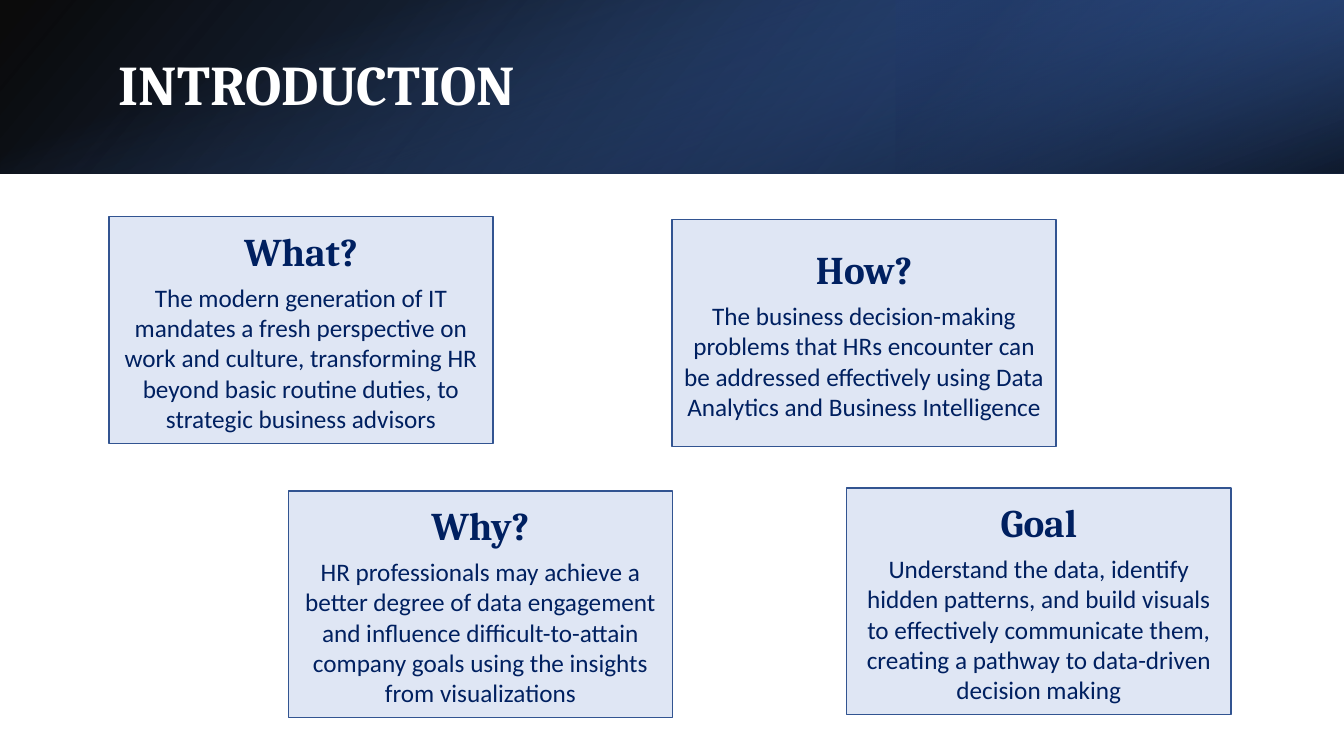
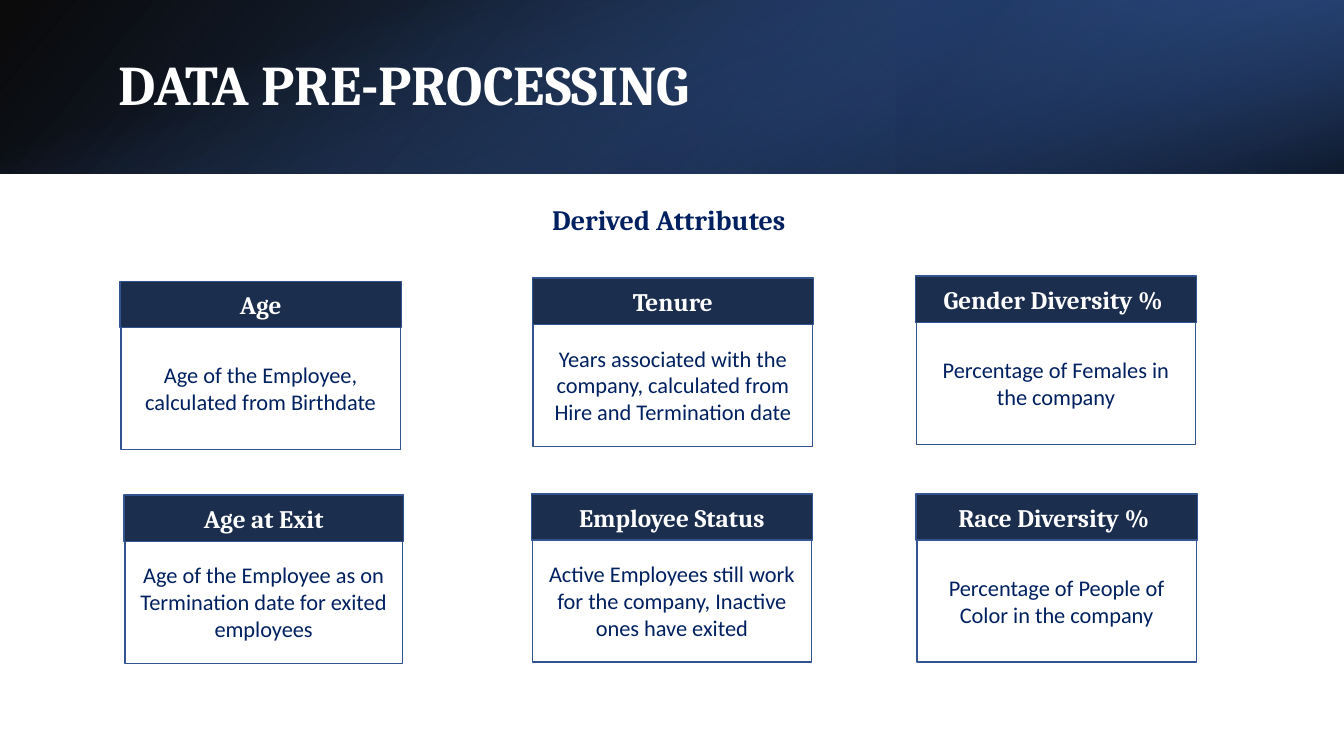
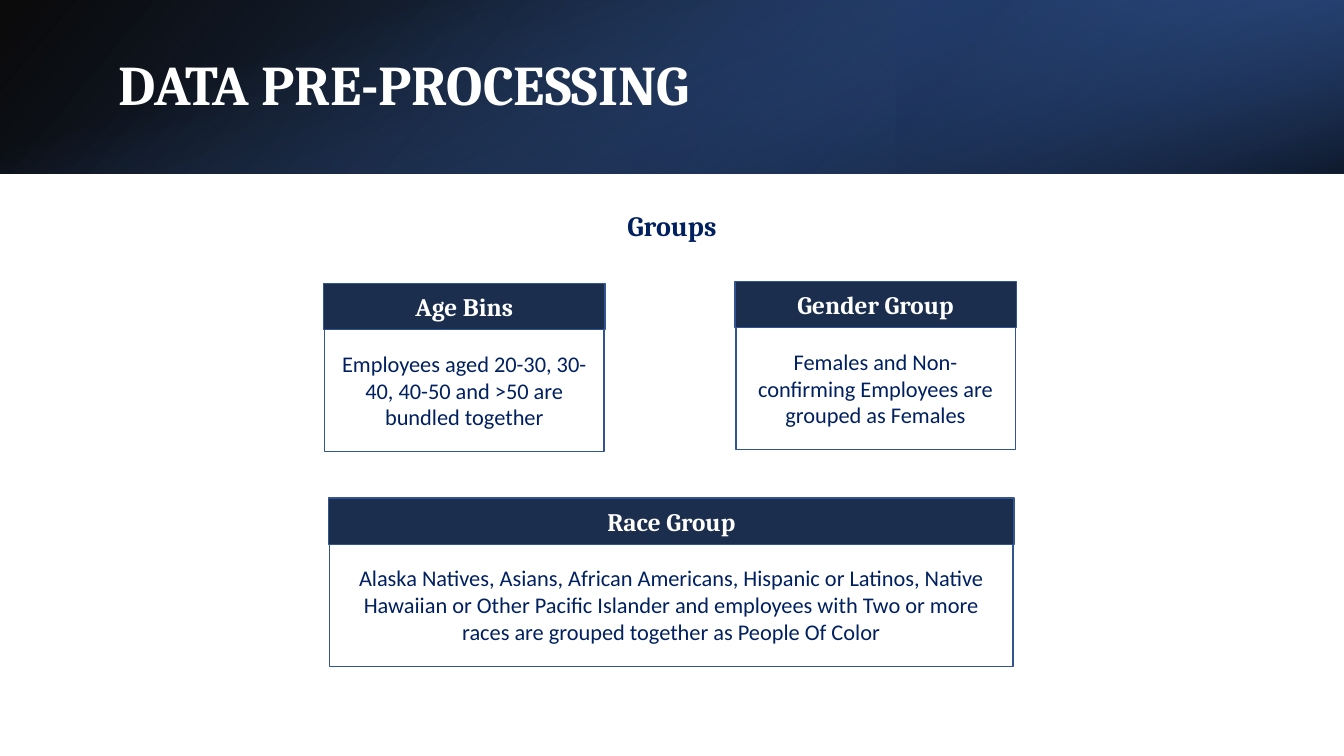
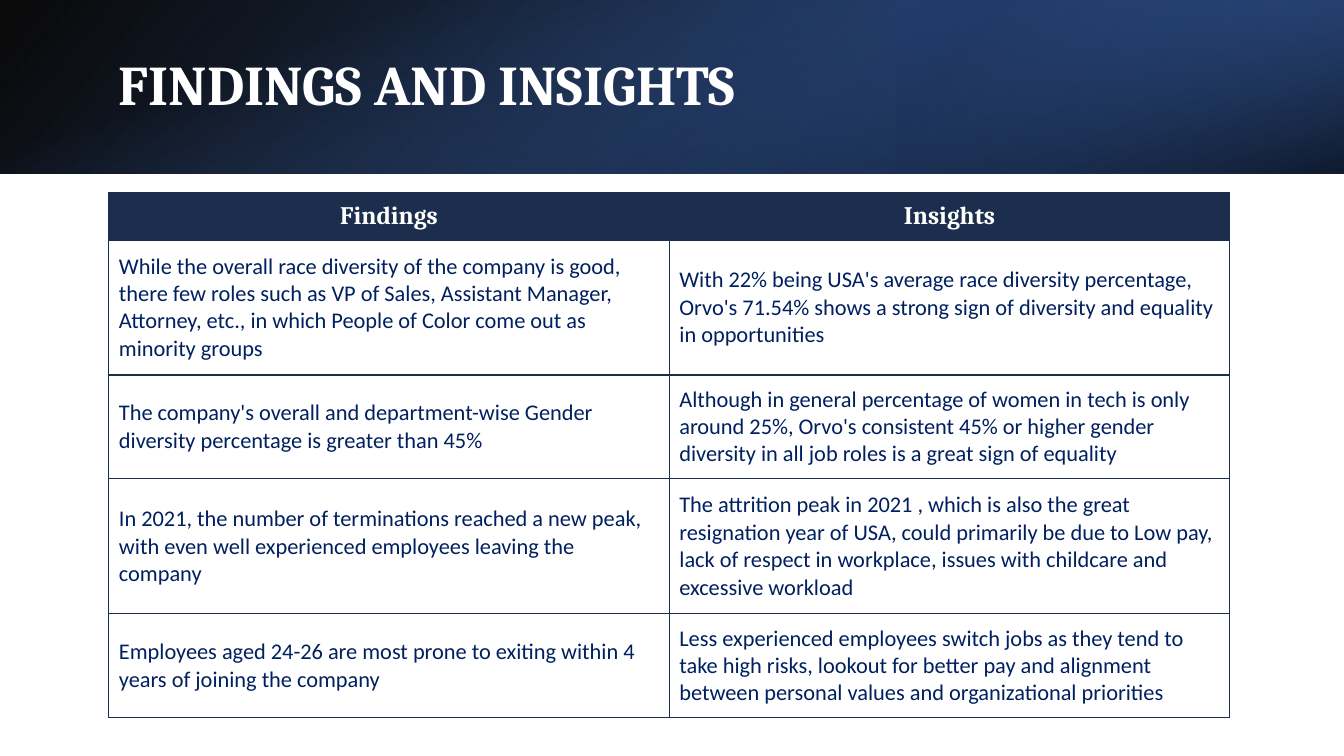
from dataclasses import dataclass

from lxml.etree import SubElement
from pptx import Presentation
from pptx.dml.color import RGBColor
from pptx.enum.shapes import MSO_SHAPE
from pptx.enum.text import MSO_ANCHOR, PP_ALIGN
from pptx.oxml.ns import qn
from pptx.util import Inches, Pt


@dataclass(frozen=True)
class Theme:
    navy: str = "002060"
    header: str = "1C2E4E"
    edge: str = "325491"
    card: str = "DAE3F3"
    white: str = "FFFFFF"
    serif: str = "Cambria"
    sans: str = "Calibri"
    title: int = 40
    card_head: int = 28
    subhead: int = 20
    label: int = 18
    body: int = 16


@dataclass(frozen=True)
class Box:
    """Left, top, width and height in hundredths of the slide."""
    x: float
    y: float
    w: float
    h: float

    def emu(self):
        return (int(self.x * SLIDE_W / 100), int(self.y * SLIDE_H / 100),
                int(self.w * SLIDE_W / 100), int(self.h * SLIDE_H / 100))


T = Theme()
SLIDE_W, SLIDE_H = Inches(13.33), Inches(7.5)
BAND = Box(0, 0, 100, 22.93)
BAND_END = Box(66.67, 0, 33.33, 22.93)
CARD_W, CARD_H = 28.58, 30
TILE_W, TILE_HEAD, TILE_BODY = 20.93, 6.13, 16.27
TILE_STEP, TILE_INSET = 6, 0.07

INTRO_CARDS = [
    (8.1, 28.67, "What?", "The modern generation of IT mandates a fresh perspective on work and culture, "
     "transforming HR beyond basic routine duties, to strategic business advisors"),
    (63, 64.53, "Goal", "Understand the data, identify hidden patterns, and build visuals to effectively "
     "communicate them, creating a pathway to data-driven decision making"),
    (50, 29.07, "How?", "The business decision-making problems that HRs encounter can be addressed "
     "effectively using Data Analytics and Business Intelligence"),
    (21.45, 64.93, "Why?", "HR professionals may achieve a better degree of data engagement and influence "
     "difficult-to-attain company goals using the insights from visualizations"),
]
ATTRIBUTES = [
    (8.93, 37.2, TILE_W, "Age", "Age of the Employee, calculated from Birthdate"),
    (9.23, 65.47, 20.78, "Age at Exit", "Age of the Employee as on Termination date for exited employees"),
    (39.6, 36.8, TILE_W, "Tenure",
     "Years associated with the company, calculated from Hire and Termination date"),
    (39.53, 65.33, TILE_W, "Employee Status",
     "Active Employees still work for the company, Inactive ones have exited"),
    (68.1, 36.53, TILE_W, "Gender Diversity % ", "Percentage of Females in the company"),
    (68.15, 65.33, TILE_W, "Race Diversity % ", "Percentage of People of Color in the company"),
]
GROUPS = [
    (24.08, 37.47, TILE_W, "Age Bins", "Employees aged 20-30, 30-40, 40-50 and >50 are bundled together"),
    (24.45, 65.87, 51, "Race Group",
     "Alaska Natives, Asians, African Americans, Hispanic or Latinos, Native Hawaiian or Other Pacific "
     "Islander and employees with Two or more races are grouped together as People Of Color"),
    (54.68, 37.2, TILE_W, "Gender Group", "Females and Non-confirming Employees are grouped as Females"),
]
FINDING_ROWS = [6.27, 17.87, 13.73, 17.87, 13.73]
FINDINGS = [
    ("Findings", "Insights"),
    ("While the overall race diversity of the company is good, there few roles such as VP of Sales, "
     "Assistant Manager, Attorney, etc., in which People of Color come out as minority groups",
     "With 22% being USA's average race diversity percentage, Orvo's 71.54% shows a strong sign of "
     "diversity and equality in opportunities"),
    ("The company's overall and department-wise Gender diversity percentage is greater than 45%",
     "Although in general percentage of women in tech is only around 25%, Orvo's consistent 45% or higher "
     "gender diversity in all job roles is a great sign of equality"),
    ("In 2021, the number of terminations reached a new peak, with even well experienced employees "
     "leaving the company",
     "The attrition peak in 2021 , which is also the great resignation year of USA, could primarily be due "
     "to Low pay, lack of respect in workplace, issues with childcare and excessive workload"),
    ("Employees aged 24-26 are most prone to exiting within 4 years of joining the company ",
     "Less experienced employees switch jobs as they tend to take high risks, lookout for better pay and "
     "alignment between personal values and organizational priorities"),
]


def write(paragraph, text, size, font, color, bold=False, align=PP_ALIGN.LEFT, after=0):
    paragraph.alignment = align
    paragraph.space_after = Pt(after)
    run = paragraph.add_run()
    run.text = text
    run.font.size, run.font.name, run.font.bold = Pt(size), font, bold
    run.font.color.rgb = RGBColor.from_string(color)


def write_heading(paragraph, text, size, color=T.navy, align=PP_ALIGN.CENTER, after=0):
    write(paragraph, text, size, T.serif, color, True, align, after)


def add_alpha(color_element, percent):
    SubElement(color_element, qn("a:alpha")).set("val", str(percent * 1000))


def add_panel(slide, box, fill=None, alpha=None):
    """Outlined rectangle; returns its text frame."""
    panel = slide.shapes.add_shape(MSO_SHAPE.RECTANGLE, *box.emu())
    panel.shadow.inherit = False
    panel.line.color.rgb = RGBColor.from_string(T.edge)
    panel.line.width = Pt(1)
    if fill:
        panel.fill.solid()
        panel.fill.fore_color.rgb = RGBColor.from_string(fill)
    else:
        panel.fill.background()
    if alpha:
        add_alpha(panel.element.spPr.find(qn("a:solidFill")).find(qn("a:srgbClr")), alpha)
    frame = panel.text_frame
    frame.word_wrap = True
    frame.vertical_anchor = MSO_ANCHOR.MIDDLE
    return frame


def add_text(slide, box):
    frame = slide.shapes.add_textbox(*box.emu()).text_frame
    frame.word_wrap = True
    return frame


def add_gradient(slide, bounds, stops, angle, rotation=0, flip=False):
    """Borderless rectangle; each stop is (position, colour, opacity) in percent."""
    area = slide.shapes.add_shape(MSO_SHAPE.RECTANGLE, *bounds)
    area.shadow.inherit = False
    area.line.fill.background()
    area.rotation = rotation
    properties = area.element.spPr
    if flip:
        properties.find(qn("a:xfrm")).set("flipH", "1")
    gradient = SubElement(properties, qn("a:gradFill"))
    gradient.set("rotWithShape", "1")
    stop_list = SubElement(gradient, qn("a:gsLst"))
    for position, color, opacity in stops:
        stop = SubElement(stop_list, qn("a:gs"))
        stop.set("pos", str(position * 1000))
        tint = SubElement(stop, qn("a:srgbClr"))
        tint.set("val", color)
        add_alpha(tint, opacity)
    direction = SubElement(gradient, qn("a:lin"))
    direction.set("ang", str(angle * 60000))
    direction.set("scaled", "0")
    properties.find(qn("a:prstGeom")).addnext(gradient)


def add_title_band(slide, title):
    left, top, width, height = BAND.emu()
    add_gradient(slide, (left, top, width, height),
                 [(0, "000000", 96), (100, "2F5597", 100)], 140, flip=True)
    add_gradient(slide, BAND_END.emu(),
                 [(19, "203864", 68), (100, "4472C4", 79)], 320, rotation=180, flip=True)
    upright = ((width - height) // 2, (height - width) // 2, height, width)
    add_gradient(slide, upright, [(23, "4472C4", 0), (99, "000000", 74)], 340, rotation=90)
    frame = add_text(slide, Box(8.1, 5.13, 82.35, 12.8))
    frame.vertical_anchor = MSO_ANCHOR.MIDDLE
    heading = frame.paragraphs[0]
    heading.line_spacing = 0.9
    write_heading(heading, title, T.title, T.white, PP_ALIGN.LEFT, 6)


def add_card(slide, box, heading, body):
    frame = add_panel(slide, box, T.card, 86)
    write_heading(frame.paragraphs[0], heading, T.card_head, after=6)
    write(frame.add_paragraph(), body, T.label, T.sans, T.navy, align=PP_ALIGN.CENTER, after=18)


def add_tile(slide, x, y, width, label, body):
    """Description box with a dark label bar across its top."""
    description = add_panel(slide, Box(x + TILE_INSET, y + TILE_STEP, width - 2 * TILE_INSET, TILE_BODY))
    write(description.paragraphs[0], body, T.body, T.sans, T.navy, align=PP_ALIGN.CENTER)
    bar = add_panel(slide, Box(x, y, width, TILE_HEAD), T.header)
    write_heading(bar.paragraphs[0], label, T.label, T.white)


def border_cell(cell):
    properties = cell._tc.get_or_add_tcPr()
    for index, side in enumerate(("a:lnL", "a:lnR", "a:lnT", "a:lnB")):
        edge = SubElement(properties, qn(side))
        edge.set("w", str(Pt(1)))
        paint = SubElement(edge, qn("a:solidFill"))
        SubElement(paint, qn("a:srgbClr")).set("val", T.header)
        properties.insert(index, edge)


def add_findings(slide, box):
    table = slide.shapes.add_table(len(FINDINGS), 2, *box.emu()).table
    table.first_row = table.horz_banding = False
    for column in table.columns:
        column.width = int(box.w * SLIDE_W / 200)
    last = len(FINDINGS) - 1, 1
    for r, (texts, height) in enumerate(zip(FINDINGS, FINDING_ROWS)):
        table.rows[r].height = int(height * SLIDE_H / 100)
        for c, text in enumerate(texts):
            cell = table.cell(r, c)
            cell.vertical_anchor = MSO_ANCHOR.MIDDLE
            paragraph = cell.text_frame.paragraphs[0]
            if r == 0:
                cell.fill.solid()
                cell.fill.fore_color.rgb = RGBColor.from_string(T.header)
                write_heading(paragraph, text, T.label, T.white)
            else:
                cell.fill.background()
                write(paragraph, text, T.body, T.sans, T.navy, after=0 if (r, c) == last else 12)
            border_cell(cell)


def new_slide(deck, title):
    slide = deck.slides.add_slide(deck.slide_layouts[6])
    add_title_band(slide, title)
    return slide


def add_tile_slide(deck, subhead, subhead_at, align, tiles):
    slide = new_slide(deck, "DATA PRE-PROCESSING")
    frame = add_text(slide, Box(*subhead_at, TILE_W, 5.87))
    write_heading(frame.paragraphs[0], subhead, T.subhead, align=align)
    for tile in tiles:
        add_tile(slide, *tile)


def main():
    deck = Presentation()
    deck.slide_width, deck.slide_height = SLIDE_W, SLIDE_H

    intro = new_slide(deck, "INTRODUCTION")
    for x, y, heading, body in INTRO_CARDS:
        add_card(intro, Box(x, y, CARD_W, CARD_H), heading, body)

    add_tile_slide(deck, "Derived Attributes", (40.35, 26.13), PP_ALIGN.LEFT, ATTRIBUTES)
    add_tile_slide(deck, "Groups", (39.53, 26.93), PP_ALIGN.CENTER, GROUPS)

    findings = new_slide(deck, "FINDINGS AND INSIGHTS")
    add_findings(findings, Box(8.1, 25.47, 83.4, sum(FINDING_ROWS)))

    deck.save("out.pptx")


if __name__ == "__main__":
    main()
